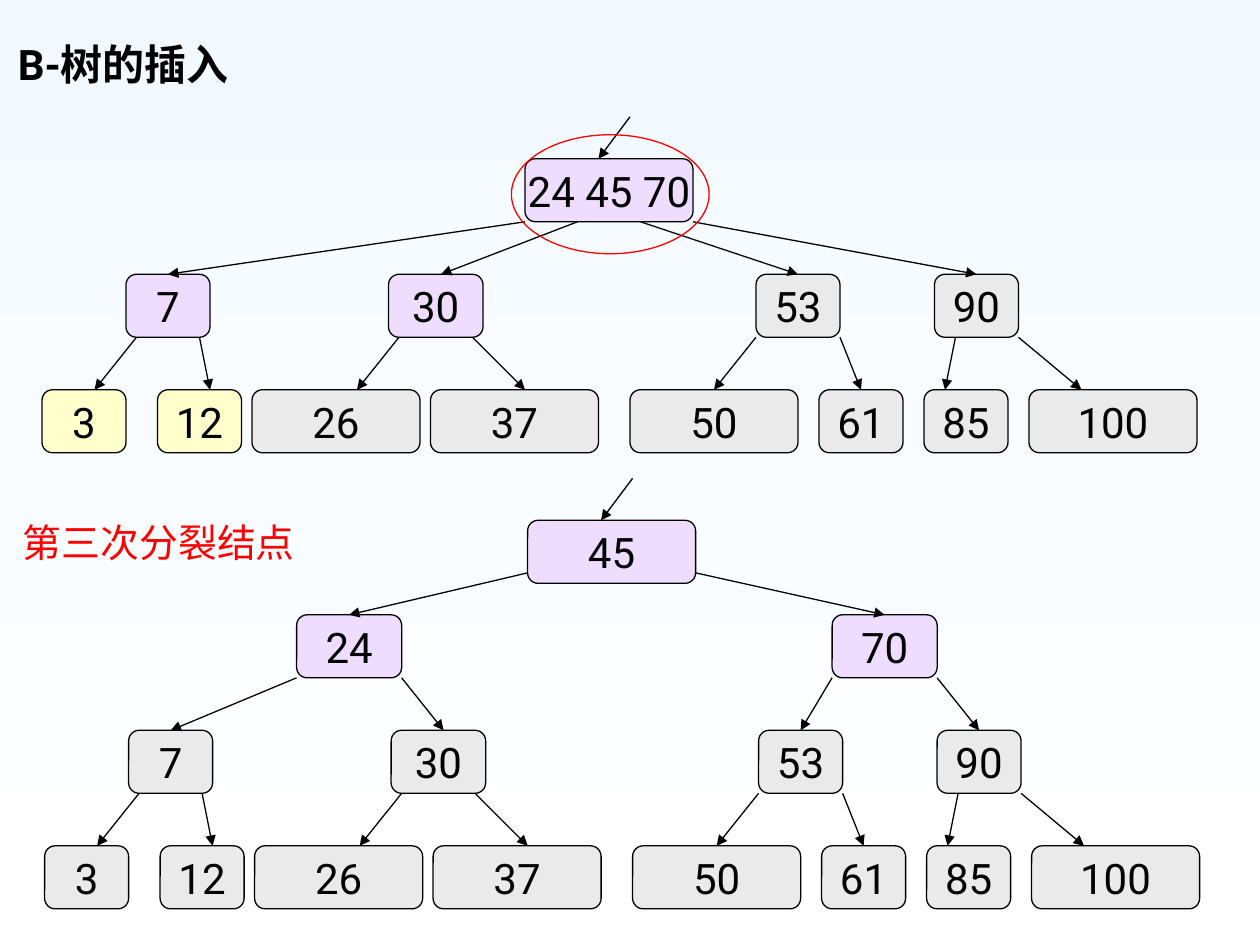
from lxml import etree
from pptx import Presentation
from pptx.dml.color import RGBColor
from pptx.enum.shapes import MSO_CONNECTOR, MSO_SHAPE
from pptx.enum.text import MSO_ANCHOR, MSO_AUTO_SIZE, PP_ALIGN
from pptx.oxml.ns import qn
from pptx.util import Pt

STRAIGHT = MSO_CONNECTOR.STRAIGHT
ROUNDED, OVAL = MSO_SHAPE.ROUNDED_RECTANGLE, MSO_SHAPE.OVAL
LEFT, CENTER = PP_ALIGN.LEFT, PP_ALIGN.CENTER
TOP, MIDDLE, BOTTOM = MSO_ANCHOR.TOP, MSO_ANCHOR.MIDDLE, MSO_ANCHOR.BOTTOM
NO_FIT = MSO_AUTO_SIZE.NONE

COLORS = {
    "sky": "F3FAFF", "white": "FFFFFF", "black": "000000", "red": "FF0000",
    "split": "EEDDFF", "new": "FFFFCC", "plain": "EAEAEA",
}
TITLE = "B-树的插入"
CAPTION = "第三次分裂结点"

ROOT_Y, MID_Y, LEAF_Y, NODE_H = 90.75, 156.75, 222.75, 36
SPLIT_ROOT_Y, SPLIT_Y = 36.75, 90.75

# label: (left, top, width)
SUBTREES = {
    "7": (72, MID_Y, 48), "30": (222, MID_Y, 54),
    "53": (432, MID_Y, 48), "90": (534, MID_Y, 48),
    "3": (24, LEAF_Y, 48), "12": (90, LEAF_Y, 48),
    "26": (144, LEAF_Y, 96), "37": (246, LEAF_Y, 96),
    "50": (360, LEAF_Y, 96), "61": (468, LEAF_Y, 48),
    "85": (528, LEAF_Y, 48), "100": (588, LEAF_Y, 96),
}
# parent, start x, child, end x
SUBTREE_EDGES = [
    ("7", 78, "3", 54), ("7", 114, "12", 120),
    ("30", 228, "26", 204), ("30", 270, "37", 300),
    ("53", 432, "50", 408), ("53", 480, "61", 492),
    ("90", 546, "85", 540), ("90", 582, "100", 618),
]
TREES = [
    {
        "offset": (0, 0), "root": "24 45 70", "exit": NODE_H,
        "nodes": {"24 45 70": (300, ROOT_Y, 96)},
        "edges": [("24 45 70", 300, "7", 96), ("24 45 70", 330, "30", 252),
                  ("24 45 70", 366, "53", 456), ("24 45 70", 396, "90", 558)],
        "fills": {"split": ["24 45 70", "7", "30"], "new": ["3", "12"]},
    },
    {
        "offset": (1.5, 260.6), "root": "45", "exit": 30,
        "nodes": {"45": (300, SPLIT_ROOT_Y, 96),
                  "24": (168, SPLIT_Y, 60), "70": (474, SPLIT_Y, 60)},
        "edges": [("45", 300, "24", 198), ("45", 396, "70", 504),
                  ("24", 168, "7", 96), ("24", 228, "30", 252),
                  ("70", 474, "53", 456), ("70", 534, "90", 558)],
        "fills": {"split": ["45", "24", "70"]},
    },
]


def rgb(name):
    return RGBColor.from_string(COLORS[name])


def write(sp, text, size=24, color="black", bold=False, align=LEFT, anchor=TOP, wrap=True):
    tf = sp.text_frame
    frame = {"auto_size": NO_FIT, "word_wrap": wrap, "vertical_anchor": anchor}
    for name, value in frame.items():
        setattr(tf, name, value)
    p = tf.paragraphs[0]
    p.alignment = align
    r = p.add_run()
    r.text = text
    for name, value in {"name": "Roboto", "size": Pt(size), "bold": bold}.items():
        setattr(r.font, name, value)
    r.font.color.rgb = rgb(color)
    return p


def add_outlined(shapes, kind, box, line, fill=None):
    sp = shapes.add_shape(kind, *map(Pt, box))
    sp.shadow.inherit = False
    if fill:
        sp.fill.solid()
        sp.fill.fore_color.rgb = rgb(fill)
    else:
        sp.fill.background()
    sp.line.color.rgb = rgb(line)
    sp.line.width = Pt(0.75)
    return sp


def add_arrow(shapes, start, end):
    cxn = shapes.add_connector(STRAIGHT, *map(Pt, start + end))
    cxn.line.color.rgb = rgb("black")
    cxn.line.width = Pt(0.75)
    etree.SubElement(cxn.line._get_or_add_ln(), qn("a:tailEnd"), type="triangle")
    etree.SubElement(cxn._element.spPr, qn("a:effectLst"))
    return cxn


def add_tree(s, tree):
    shapes = s.shapes.add_group_shape().shapes
    dx, dy = tree["offset"]
    fills = {label: fill for fill, labels in tree["fills"].items() for label in labels}
    nodes = {**SUBTREES, **tree["nodes"]}
    drawn = {}
    for label, (x, y, w) in nodes.items():
        sp = add_outlined(shapes, ROUNDED, (x + dx, y + dy, w, NODE_H),
                          "black", fills.get(label, "plain"))
        write(sp, label, align=CENTER, anchor=MIDDLE, wrap=False)
        drawn[label] = sp

    root_x, root_y, _ = nodes[tree["root"]]
    add_arrow(shapes, (root_x + 60 + dx, root_y - 24 + dy), (root_x + 42 + dx, root_y + dy))
    for parent, x1, child, x2 in tree["edges"] + SUBTREE_EDGES:
        drop = tree["exit"] if parent == tree["root"] else NODE_H
        left, top, width = nodes[child]
        cxn = add_arrow(shapes, (x1 + dx, nodes[parent][1] + drop + dy), (x2 + dx, top + dy))
        if x2 == left + width / 2:
            cxn.end_connect(drawn[child], 0)


def main():
    prs = Presentation()
    prs.slide_width, prs.slide_height = Pt(720), Pt(540)
    s = prs.slides.add_slide(prs.slide_layouts[5])

    bg = s.background.fill
    bg.gradient()
    bg.gradient_angle = 270
    for stop, color in zip(bg.gradient_stops, ("sky", "white")):
        stop.color.rgb = rgb(color)

    title = s.shapes.title
    for name, value in {"left": 3, "top": 3.6, "width": 613.5, "height": 51}.items():
        setattr(title, name, Pt(value))
    write(title, TITLE, bold=True, anchor=BOTTOM)

    for tree in TREES:
        add_tree(s, tree)

    caption = s.shapes.add_textbox(Pt(6), Pt(298), Pt(240), Pt(30))
    write(caption, CAPTION, size=22.2, color="red").line_spacing = 0.8
    add_outlined(s.shapes, OVAL, (292.25, 77, 113, 68), "red")

    prs.save("out.pptx")


if __name__ == "__main__":
    main()
